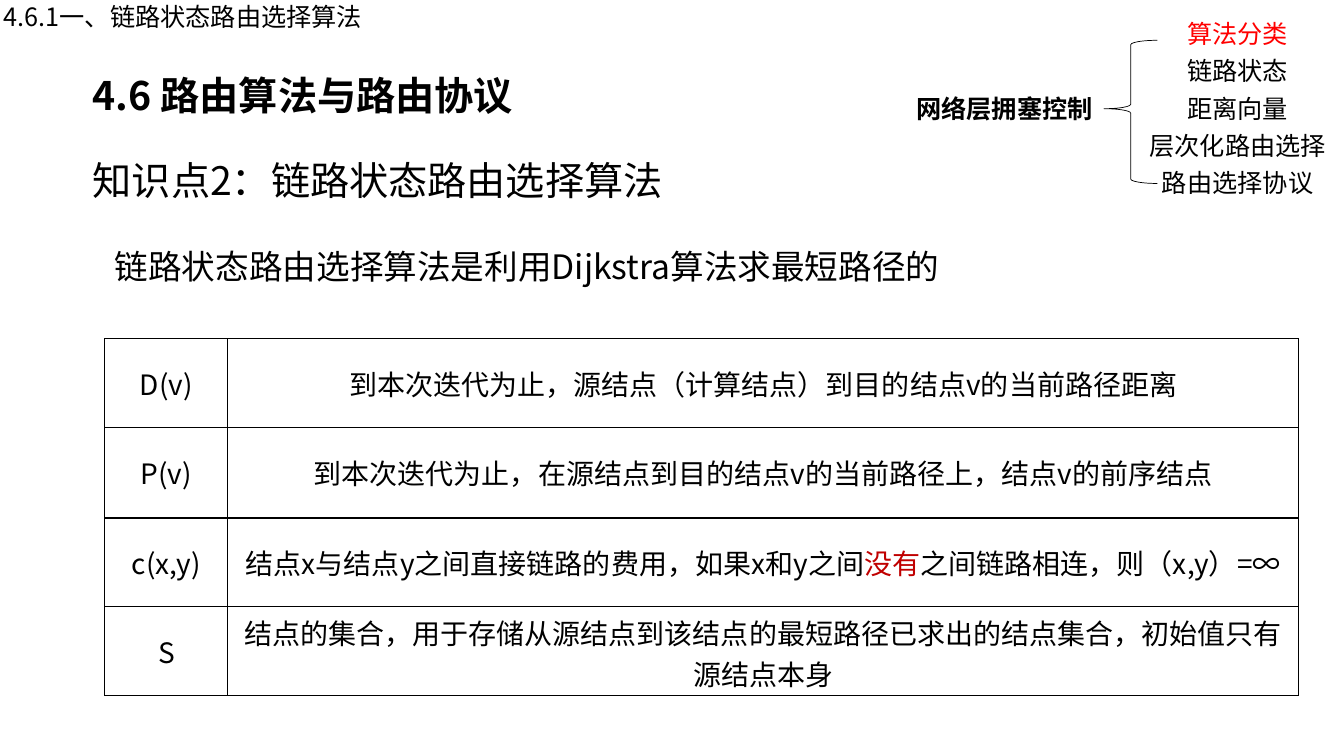
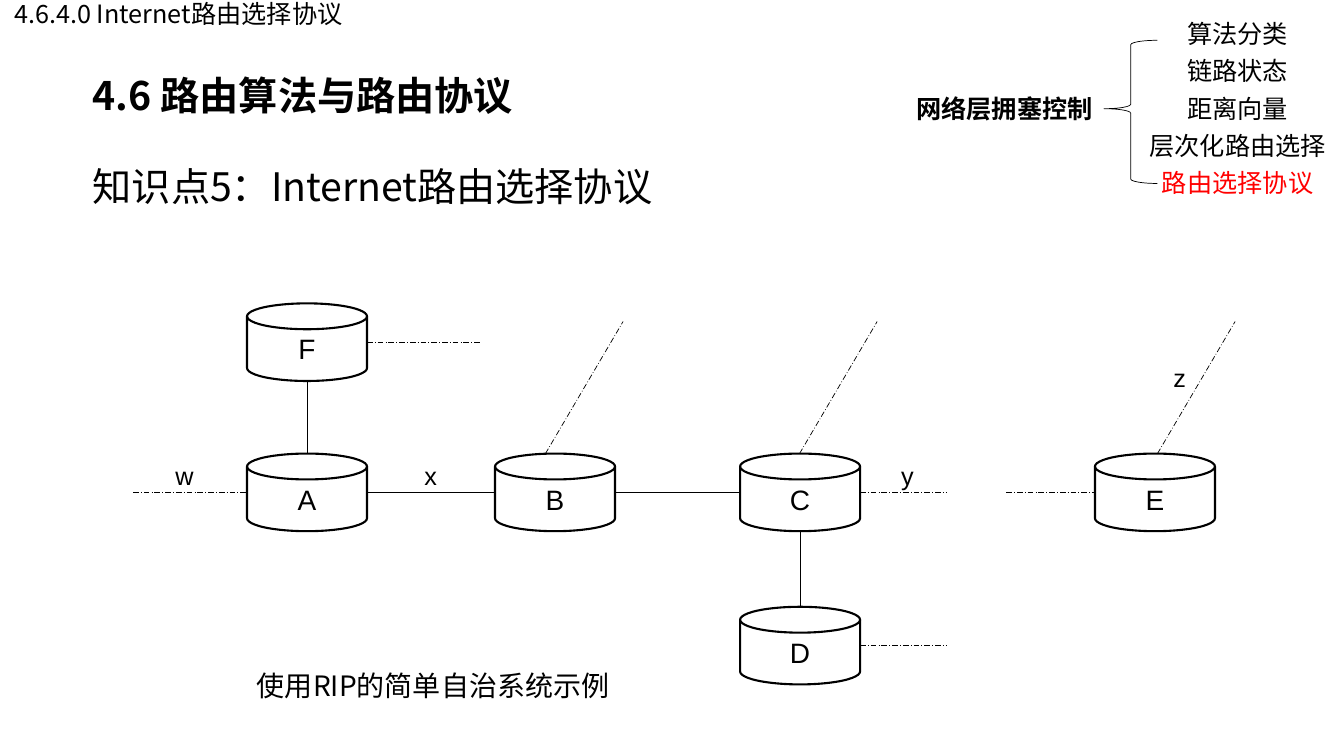
from dataclasses import dataclass

from lxml.etree import SubElement
from pptx import Presentation
from pptx.dml.color import RGBColor
from pptx.enum.dml import MSO_LINE
from pptx.enum.shapes import MSO_CONNECTOR, MSO_SHAPE
from pptx.enum.text import MSO_ANCHOR, MSO_AUTO_SIZE, PP_ALIGN
from pptx.oxml.ns import qn
from pptx.util import Inches, Pt


@dataclass(frozen=True)
class Theme:
    black: str = "000000"
    red: str = "FF0000"
    dark_red: str = "C00000"
    white: str = "FFFFFF"
    chinese: str = "Noto Sans CJK SC"
    latin: str = "Arial"
    heading: int = 28
    statement: int = 24
    body: int = 20
    small: int = 18
    thin: float = 0.5
    border: float = 1
    outline: float = 1.5


TOPICS = ["算法分类", "链路状态", "距离向量", "层次化路由选择", "路由选择协议"]

NOTATION = [
    ("D(v)", ["到本次迭代为止，源结点（计算结点）到目的结点v的当前路径距离"]),
    ("P(v)", ["到本次迭代为止，在源结点到目的结点v的当前路径上，结点v的前序结点"]),
    ("c(x,y)", ["结点x与结点y之间直接链路的费用，如果x和y之间", "没有", "之间链路相连，则（x,y）=∞"]),
    ("S", ["结点的集合，用于存储从源结点到该结点的最短路径已求出的结点集合，初始值只有源结点本身"]),
]

ROUTER_WIDTH, ROUTER_HEIGHT = 1.19, 0.77
ROUTERS = {
    "A": (2.45, 4.5), "B": (4.91, 4.5), "C": (7.34, 4.5),
    "D": (7.34, 6.02), "E": (10.86, 4.5), "F": (2.45, 3.01),
}


class Deck:
    """Build slides in one shared style."""

    def __init__(self, theme):
        self.theme = theme
        self.presentation = Presentation()
        self.presentation.slide_width = Inches(13.33)
        self.presentation.slide_height = Inches(7.5)
        self.slide = None

    def style(self, paragraph, size, font=None, color=None, bold=False, align=PP_ALIGN.LEFT, spacing=None):
        paragraph.alignment = align
        if spacing:
            paragraph.line_spacing = spacing
        name = font or self.theme.chinese
        paragraph.font.size = Pt(size)
        paragraph.font.bold = bold
        paragraph.font.name = name
        paragraph.font.color.rgb = RGBColor.from_string(color or self.theme.black)
        defaults = paragraph._p.get_or_add_pPr().find(qn("a:defRPr"))
        SubElement(defaults, qn("a:ea"), typeface=name)

    def text(self, box, words, size, wrap=True, margins=None, middle=False, **style):
        shape = self.slide.shapes.add_textbox(*map(Inches, box))
        frame = shape.text_frame
        frame.word_wrap = wrap
        if margins:
            frame.margin_left = frame.margin_right = Inches(margins[0])
            frame.margin_top = frame.margin_bottom = Inches(margins[1])
        if middle:
            frame.vertical_anchor = MSO_ANCHOR.MIDDLE
        else:
            frame.auto_size = MSO_AUTO_SIZE.SHAPE_TO_FIT_TEXT
        frame.text = words
        self.style(frame.paragraphs[0], size, **style)

    def compact(self, box, words, color=None):
        self.text(box, words, self.theme.small, wrap=False, color=color,
                  align=PP_ALIGN.CENTER, spacing=Pt(16))

    def shape(self, kind, box, width):
        shape = self.slide.shapes.add_shape(kind, *map(Inches, box))
        shape.shadow.inherit = False
        shape.fill.background()
        shape.line.color.rgb = RGBColor.from_string(self.theme.black)
        shape.line.width = Pt(width)
        return shape

    def router(self, name):
        box = (*ROUTERS[name], ROUTER_WIDTH, ROUTER_HEIGHT)
        shape = self.shape(MSO_SHAPE.FLOWCHART_MAGNETIC_DISK, box, self.theme.outline)
        frame = shape.text_frame
        frame.vertical_anchor = MSO_ANCHOR.MIDDLE
        frame.text = name
        self.style(frame.paragraphs[0], self.theme.body, font=self.theme.latin, align=PP_ALIGN.CENTER)

    def line(self, start, end, dashed=False):
        connector = self.slide.shapes.add_connector(
            MSO_CONNECTOR.STRAIGHT, *map(Inches, (*start, *end)))
        connector.line.color.rgb = RGBColor.from_string(self.theme.black)
        connector.line.width = Pt(self.theme.thin)
        if dashed:
            connector.line.dash_style = MSO_LINE.LONG_DASH_DOT
        SubElement(connector._element.spPr, qn("a:effectLst"))

    def border(self, cell):
        properties = cell._tc.get_or_add_tcPr()
        for side in ("lnL", "lnR", "lnT", "lnB"):
            edge = SubElement(properties, qn(f"a:{side}"), w=str(Pt(self.theme.border)))
            fill = SubElement(edge, qn("a:solidFill"))
            SubElement(fill, qn("a:srgbClr"), val=self.theme.black)

    def table(self, box, widths, heights, rows):
        frame = self.slide.shapes.add_table(len(rows), len(widths), *map(Inches, box))
        table = frame.table
        table.first_row = table.horz_banding = False
        for column, width in zip(table.columns, widths):
            column.width = Inches(width)
        for row, height, (symbol, meaning) in zip(table.rows, heights, rows):
            row.height = Inches(height)
            for cell, pieces in zip(row.cells, ([symbol], meaning)):
                self.border(cell)
                cell.fill.background()
                cell.vertical_anchor = MSO_ANCHOR.MIDDLE
                paragraph = cell.text_frame.paragraphs[0]
                self.style(paragraph, self.theme.body, align=PP_ALIGN.CENTER)
                for index, piece in enumerate(pieces):
                    run = paragraph.add_run()
                    run.text = piece
                    if index == 1:
                        run.font.color.rgb = RGBColor.from_string(self.theme.dark_red)

    def outline(self, current):
        brace = self.shape(MSO_SHAPE.LEFT_BRACE, (10.95, 0.4, 0.53, 1.42), self.theme.thin)
        brace.adjustments[0], brace.adjustments[1] = 0.083, 0.478
        self.text((8.99, 0.88, 1.98, 0.4), "网络层拥塞控制", self.theme.small, wrap=False, bold=True)
        for index, topic in enumerate(TOPICS):
            color = self.theme.red if topic == current else self.theme.black
            self.compact((11.29, 0.21 + 0.37 * index, 1.97, 0.33), topic, color)

    def start(self, section, section_box, point, point_top, current):
        self.slide = self.presentation.slides.add_slide(self.presentation.slide_layouts[6])
        background = self.slide.background.fill
        background.solid()
        background.fore_color.rgb = RGBColor.from_string(self.theme.white)
        margins = (0.12, 0.06)
        self.text((0.8, 0.65, 9.65, 0.59), "4.6 路由算法与路由协议", self.theme.heading,
                  margins=margins, bold=True)
        self.text((0.8, point_top, 12.16, 1.04), point, self.theme.heading,
                  margins=margins, middle=True, spacing=1.5)
        self.outline(current)
        self.compact(section_box, section)


def link_state_slide(deck):
    deck.start("4.6.1一、链路状态路由选择算法", (-0.1, 0.04, 3.83, 0.32),
               "知识点2：链路状态路由选择算法", 1.15, "算法分类")
    deck.text((1.04, 2.19, 10.94, 0.71), "链路状态路由选择算法是利用Dijkstra算法求最短路径的",
              deck.theme.statement, spacing=1.5)
    deck.table((1.04, 3.36, 11.84, 3.53), (1.22, 10.62), (0.88, 0.9, 0.88, 0.88), NOTATION)


def routing_protocol_slide(deck):
    deck.start("4.6.4.0 Internet路由选择协议", (-0.08, 0.01, 3.7, 0.32),
               "知识点5：Internet路由选择协议", 1.21, "路由选择协议")
    for name in ROUTERS:
        deck.router(name)
    for first, second in ("AB", "BC"):
        left, top = ROUTERS[first]
        middle = top + ROUTER_HEIGHT / 2
        deck.line((left + ROUTER_WIDTH, middle), (ROUTERS[second][0], middle))
    for upper, lower in ("FA", "CD"):
        left, top = ROUTERS[upper]
        center = left + ROUTER_WIDTH / 2
        deck.line((center, top + ROUTER_HEIGHT), (center, ROUTERS[lower][1]))
    for left, right, router in ((3.64, 4.77, "F"), (1.32, 2.45, "A"), (8.53, 9.39, "C"),
                                (9.98, 10.86, "E"), (8.53, 9.39, "D")):
        middle = ROUTERS[router][1] + ROUTER_HEIGHT / 2
        deck.line((left, middle), (right, middle), dashed=True)
    for left in (5.41, 7.93, 11.48):
        deck.line((left, 4.5), (left + 0.77, 3.19), dashed=True)
    for label, left, top in (("w", 1.64, 4.52), ("x", 4.11, 4.52), ("y", 8.84, 4.52), ("z", 11.54, 3.54)):
        deck.text((left, top, 0.56, 0.41), label, deck.theme.small, font=deck.theme.latin)
    deck.text((2.45, 6.58, 4.19, 0.44), "使用RIP的简单自治系统示例", deck.theme.body)


def main():
    deck = Deck(Theme())
    link_state_slide(deck)
    routing_protocol_slide(deck)
    deck.presentation.save("out.pptx")


if __name__ == "__main__":
    main()
